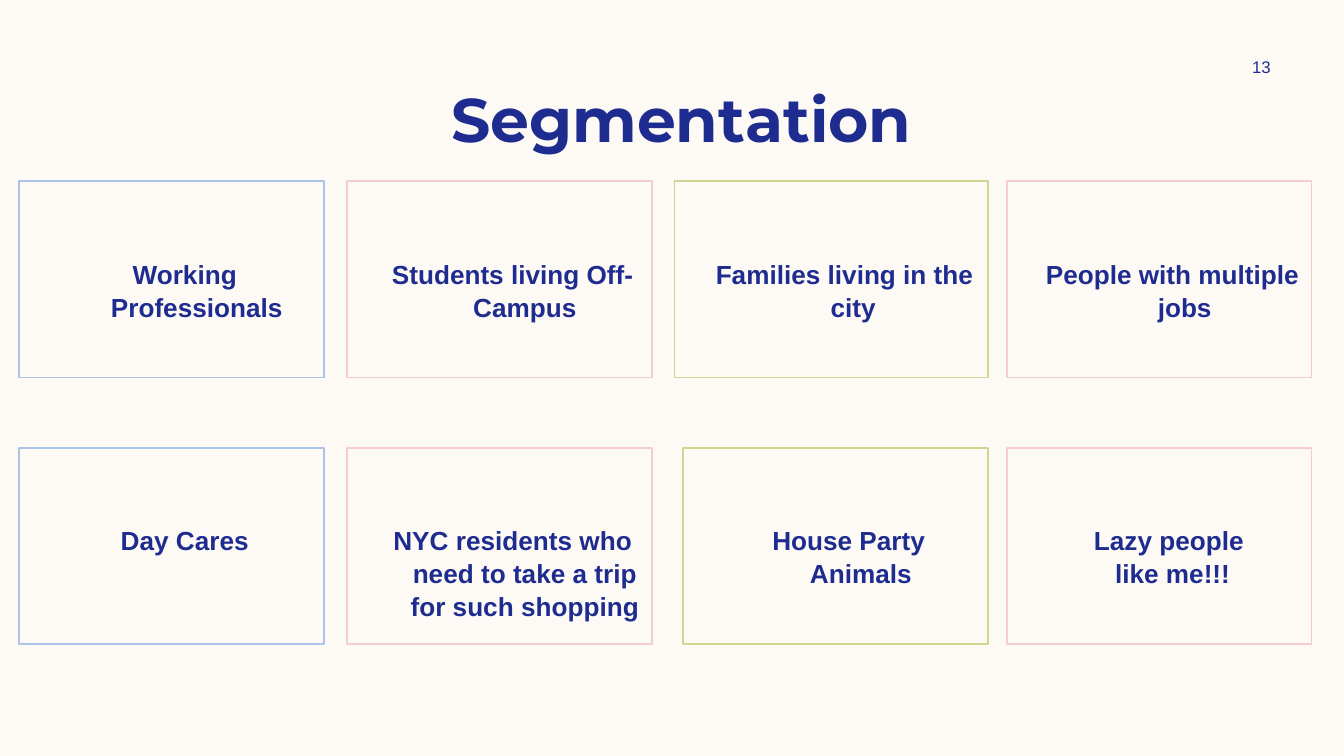
"""Builds the Segmentation slide: eight outlined customer groups in a grid."""
from dataclasses import dataclass

from pptx import Presentation
from pptx.dml.color import RGBColor
from pptx.enum.shapes import MSO_SHAPE
from pptx.enum.text import MSO_ANCHOR, PP_ALIGN
from pptx.util import Pt


@dataclass(frozen=True)
class Theme:
    background: RGBColor = RGBColor(0xFD, 0xFA, 0xF6)
    navy: RGBColor = RGBColor(0x1F, 0x2C, 0x8F)
    blue: RGBColor = RGBColor(0xAA, 0xC3, 0xE8)
    pink: RGBColor = RGBColor(0xF5, 0xCD, 0xCE)
    green: RGBColor = RGBColor(0xD2, 0xD5, 0x92)
    heading_font: str = "Montserrat"
    body_font: str = "Arial"
    title_size: int = 33
    group_size: int = 14
    number_size: int = 9


theme = Theme()


def set_frame(shape, top_inset, anchor):
    frame = shape.text_frame
    frame.word_wrap = True
    frame.vertical_anchor = anchor
    frame.margin_left = frame.margin_right = Pt(5.2)
    frame.margin_top = Pt(top_inset)
    frame.margin_bottom = Pt(2.6)
    return frame


def add_text(paragraph, text, font_name, size, bold):
    paragraph.alignment = PP_ALIGN.CENTER
    run = paragraph.add_run()
    run.text = text
    run.font.name = font_name
    run.font.size = Pt(size)
    run.font.bold = bold
    run.font.color.rgb = theme.navy


presentation = Presentation()
presentation.slide_width = Pt(720)
presentation.slide_height = Pt(405)
slide = presentation.slides.add_slide(presentation.slide_layouts[6])
slide.background.fill.solid()
slide.background.fill.fore_color.rgb = theme.background

title = slide.shapes.add_textbox(Pt(54.7), Pt(41), Pt(630), Pt(45.4))
title_frame = set_frame(title, 2.6, MSO_ANCHOR.TOP)
add_text(title_frame.paragraphs[0], "Segmentation ", theme.heading_font, theme.title_size, True)

number = slide.shapes.add_textbox(Pt(646.6), Pt(27.4), Pt(58.3), Pt(16.6))
number_frame = set_frame(number, 2.6, MSO_ANCHOR.MIDDLE)
add_text(number_frame.paragraphs[0], "13", theme.body_font, theme.number_size, False)

row_tops = [97.2, 239.8]
column_rights = [173.5, 349.2, 529.2, 702.7]
column_colors = [theme.blue, theme.pink, theme.green, theme.pink]
box_width, wide_box_width, box_height = 163.4, 167.8, 105.1
families = "Families living in the city "
groups = [
    [
        ["Working Professionals"],
        ["Students living Off- Campus"],
        [families],
        ["People with multiple jobs"],
    ],
    [
        ["Day Cares"],
        ["NYC residents who need to take a trip for such shopping"],
        ["House Party Animals"],
        ["Lazy people ", "like me!!!"],
    ],
]

for top, row in zip(row_tops, groups):
    for right, color, lines in zip(column_rights, column_colors, row):
        width = wide_box_width if families in lines else box_width
        box = slide.shapes.add_shape(
            MSO_SHAPE.RECTANGLE, Pt(right - width), Pt(top), Pt(width), Pt(box_height)
        )
        box.shadow.inherit = False
        box.fill.background()
        box.line.color.rgb = color
        box.line.width = Pt(1)
        frame = set_frame(box, 40.3, MSO_ANCHOR.TOP)
        for index, line in enumerate(lines):
            paragraph = frame.add_paragraph() if index else frame.paragraphs[0]
            properties = paragraph._p.get_or_add_pPr()
            properties.set("marL", str(Pt(27.4)))
            properties.set("indent", str(Pt(-13)))
            paragraph.line_spacing = 1.05
            add_text(paragraph, line, theme.body_font, theme.group_size, True)

presentation.save("out.pptx")
